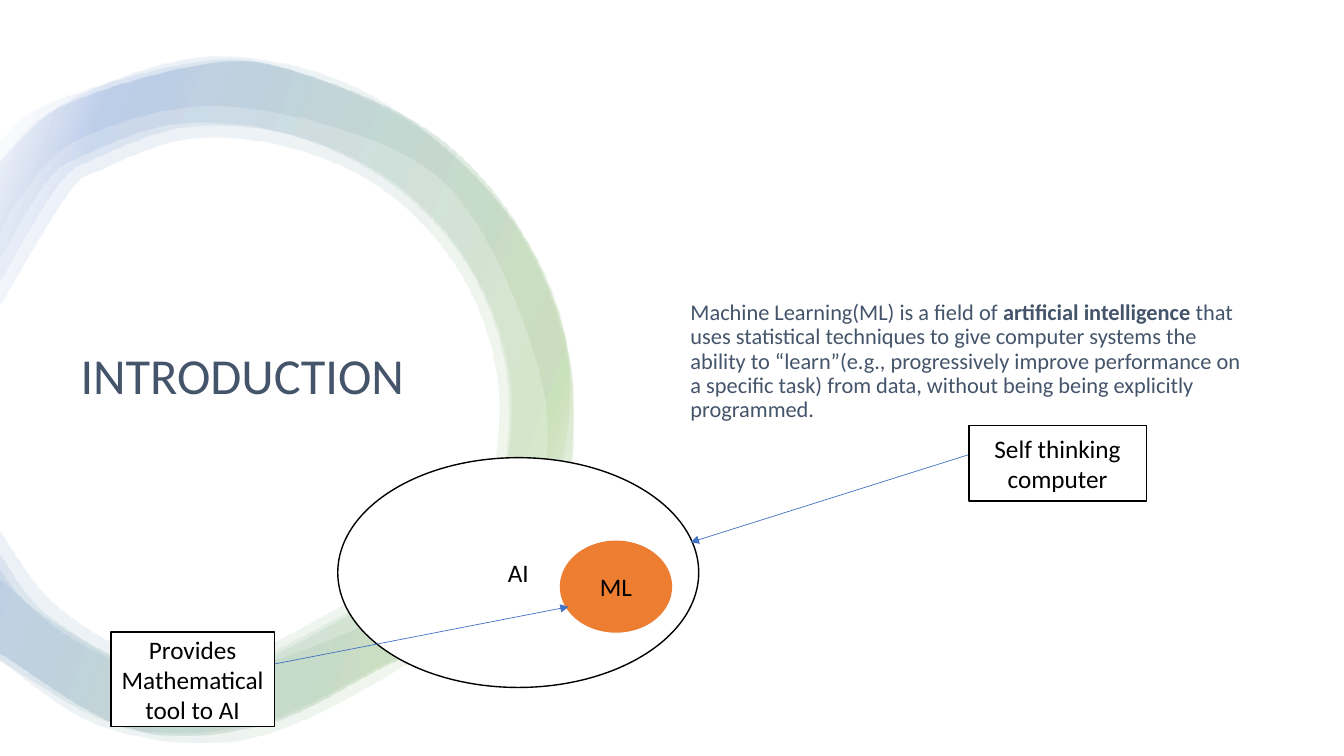
from lxml import etree
from pptx import Presentation
from pptx import util as u
from pptx.dml.color import RGBColor
from pptx.enum import shapes, text
from pptx.oxml import parse_xml
from pptx.oxml.ns import nsdecls, qn

INK, BLACK, WHITE, BLUE, GREEN, ORANGE = (
    "44546A", "000000", "FFFFFF", "4472C4", "70AD47", "ED7D31")
RING_STOPS = [(2, WHITE), (16, GREEN), (85, BLUE), (100, WHITE)]

# Key points in inches: outer edges run clockwise, inner edges run back.
WIDE_OUTER = [
    (0, 1.6), (.75, .96), (2.18, .56), (3.76, .99), (5.17, 2.31),
    (5.65, 3.83), (5.18, 5.67), (3.92, 6.65), (2.43, 7.33), (1.03, 7.21),
    (0, 6.55)]
WIDE_INNER = [
    (0, 5.74), (.76, 6.36), (1.77, 6.7), (2.82, 6.51), (4.47, 5.77),
    (5.28, 5.02), (5.38, 3.85), (4.73, 2.23), (3.85, 1.46), (2.17, 1.05),
    (.8, 1.37), (.2, 1.95), (0, 2.32)]
LEFT_OUTER = [
    (0, 1.41), (.51, 1.02), (2.02, .61), (3.03, .75), (4.29, 1.37),
    (5.18, 2.37), (5.64, 3.65), (5.56, 5.04), (4.85, 6.02), (3.73, 6.63),
    (2.54, 7.18), (1.22, 7.21), (0, 6.55)]
LEFT_INNER = [
    (0, 5.64), (.37, 6.06), (1.38, 6.61), (2.35, 6.59), (3.42, 6.09),
    (4.62, 5.41), (4.96, 4.88), (5.02, 3.73), (4.65, 2.67), (3.89, 1.84),
    (2.87, 1.34), (1.78, 1.23), (.82, 1.55), (.45, 1.83), (0, 2.58)]
RIGHT_OUTER = [
    (0, 1.6), (.62, 1.05), (2.11, .63), (3.1, .77), (4.34, 1.37), (5.2, 2.37),
    (5.65, 3.65), (5.56, 5.04), (4.86, 6.02), (3.76, 6.63), (2.59, 7.19),
    (1.29, 7.23), (0, 6.48)]
THICK_INNER = [
    (0, 5.27), (.55, 6), (1.48, 6.52), (2.41, 6.48), (3.39, 6), (4.55, 5.32),
    (4.85, 4.85), (4.92, 3.75), (4.57, 2.74), (3.85, 1.93), (2.91, 1.48),
    (1.89, 1.38), (.99, 1.69), (.66, 1.94), (0, 3.03)]
THIN_INNER = [
    (0, 5.5), (.46, 6.09), (1.45, 6.63), (2.41, 6.6), (3.45, 6.1),
    (4.63, 5.42), (4.97, 4.88), (5.04, 3.73), (4.67, 2.68), (3.94, 1.85),
    (2.94, 1.36), (1.87, 1.26), (.93, 1.58), (.56, 1.86), (0, 2.79)]
RINGS = [(WIDE_OUTER, WIDE_INNER), (LEFT_OUTER, LEFT_INNER),
         (RIGHT_OUTER, THICK_INNER), (RIGHT_OUTER, THIN_INNER)]


def cm(inches):
    """Turn a layout value in inches into a length."""
    return u.Cm(inches * 2.54)


def rgb(code):
    """Turn a hex string into a colour."""
    return RGBColor.from_string(code)


def curves(points):
    """Return the Bezier triples of a Catmull-Rom curve through the points."""
    ends = [points[0], *points, points[-1]]
    return [
        ([q + (r - p) / 6 for p, q, r in zip(a, b, c)],
         [r - (s - q) / 6 for q, r, s in zip(b, c, d)], c)
        for a, b, c, d in zip(ends, ends[1:], ends[2:], ends[3:])]


def bend(sp, edges):
    """Turn the straight segments along the edges into curves."""
    triples = curves(edges[0]) + [None] + curves(edges[1])
    for ln, triple in zip(list(sp._element.iter(qn("a:lnTo"))), triples):
        if triple is None:
            continue
        curve = etree.Element(qn("a:cubicBezTo"))
        for x, y in triple:
            etree.SubElement(curve, qn("a:pt"), x=str(int(cm(x) - sp.left)),
                             y=str(int(cm(y) - sp.top)))
        ln.getparent().replace(ln, curve)


def write(sp, runs, size=18, color=BLACK, font="Calibri", align="CENTER",
          line=None, after=0):
    """Fill a shape with one paragraph of (text, bold) runs."""
    tf = sp.text_frame
    tf.word_wrap = True
    tf.vertical_anchor = text.MSO_ANCHOR.MIDDLE
    p = tf.paragraphs[0]
    p.alignment = getattr(text.PP_ALIGN, align)
    p.line_spacing = line
    p.space_after = u.Pt(after)
    for words, bold in runs:
        r = p.add_run()
        r.text = words
        r.font.name, r.font.size, r.font.bold = font, u.Pt(size), bold
        r.font.color.rgb = rgb(color)


class Deck:
    """Holds the style and the current slide."""

    def __init__(self, prs):
        """Add a blank slide."""
        self.shapes = prs.slides.add_slide(prs.slide_layouts[6]).shapes

    def ring(self, outer, inner):
        """Draw a translucent band between two smooth edges."""
        pts = [(cm(x), cm(y)) for x, y in outer + inner]
        fb = self.shapes.build_freeform(*pts[0])
        fb.add_line_segments(pts[1:], close=True)
        sp = fb.convert_to_shape()
        bend(sp, (outer, inner))
        sp.shadow.inherit = False
        sp.line.fill.background()
        stops = "".join(
            f'<a:gs pos="{pos * 1000}"><a:srgbClr val="{color}">'
            '<a:alpha val="10000"/></a:srgbClr></a:gs>'
            for pos, color in RING_STOPS)
        sp._element.spPr.find(qn("a:custGeom")).addnext(parse_xml(
            f'<a:gradFill {nsdecls("a")} rotWithShape="1"><a:gsLst>{stops}'
            '</a:gsLst><a:lin ang="12000000" scaled="0"/></a:gradFill>'))

    def label(self, box, runs, **fmt):
        """Add a left-aligned text box."""
        sp = self.shapes.add_textbox(*map(cm, box))
        write(sp, runs, color=INK, align="LEFT", line=.9, **fmt)

    def node(self, kind, box, words, fill=WHITE, line=BLACK):
        """Add a filled shape with centred text."""
        sp = self.shapes.add_shape(
            getattr(shapes.MSO_SHAPE, kind), *map(cm, box))
        sp.shadow.inherit = False
        sp.fill.solid()
        sp.fill.fore_color.rgb = rgb(fill)
        sp.line.color.rgb = rgb(line)
        sp.line.width = u.Pt(1)
        write(sp, [(words, False)], after=6)

    def arrow(self, start, end):
        """Add a thin straight arrow."""
        sp = self.shapes.add_connector(
            shapes.MSO_CONNECTOR.STRAIGHT, *map(cm, start + end))
        sp.line.color.rgb = rgb(BLUE)
        sp.line.width = u.Pt(.5)
        etree.SubElement(sp.line._get_or_add_ln(), qn("a:tailEnd"),
                         type="triangle")
        etree.SubElement(sp._element.spPr, qn("a:effectLst"))


prs = Presentation()
prs.slide_width, prs.slide_height = cm(13.33), cm(7.5)
s = Deck(prs)
for outer, inner in RINGS:
    s.ring(outer, inner)
s.label((.7, 1.36, 4.22, 4.78), [("INTRODUCTION", False)], size=36)
s.label((6.75, .88, 5.71, 5.42), [
    ("Machine Learning(ML) is a field of ", False),
    ("artificial intelligence ", True),
    ("that uses statistical techniques to give computer systems the ability "
     "to “learn”(e.g., progressively improve performance on a specific task) "
     "from data, without being being explicitly programmed.", False)], size=16)
s.node("OVAL", (3.35, 4.54, 3.58, 2.28), "AI")
s.node("OVAL", (5.56, 5.37, 1.1, .9), "ML", fill=ORANGE, line=ORANGE)
s.arrow((9.61, 4.51), (6.85, 5.38))
s.arrow((2.71, 6.59), (5.64, 6.02))
s.node("RECTANGLE", (9.61, 4.22, 1.76, .75), "Self thinking computer")
s.node("RECTANGLE", (1.1, 6.27, 1.62, .94), "Provides Mathematical tool to AI")
prs.save("out.pptx")
